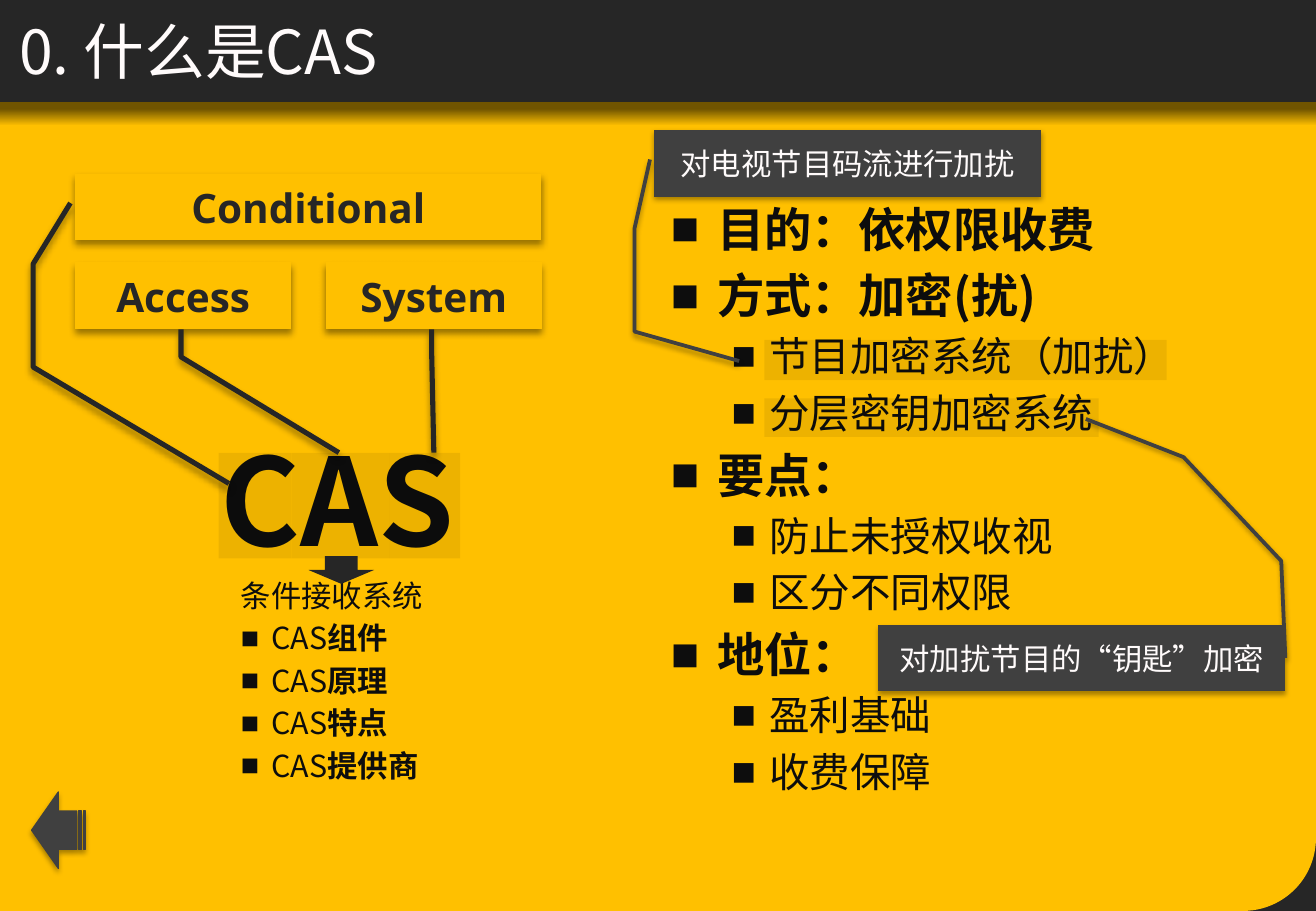
from lxml import etree
from pptx import Presentation
from pptx.dml.color import RGBColor
from pptx.enum.shapes import MSO_SHAPE
from pptx.enum.text import MSO_ANCHOR, MSO_AUTO_SIZE, PP_ALIGN
from pptx.oxml.ns import qn
from pptx.util import Cm, Pt

RECTANGLE = MSO_SHAPE.RECTANGLE
ROUNDED_CORNER = MSO_SHAPE.ROUND_1_RECTANGLE
CALLOUT = MSO_SHAPE.LINE_CALLOUT_3_NO_BORDER
DOWN_ARROW = MSO_SHAPE.DOWN_ARROW
STRIPED_ARROW = MSO_SHAPE.STRIPED_RIGHT_ARROW
MIDDLE = MSO_ANCHOR.MIDDLE
LEFT = PP_ALIGN.LEFT
CENTER = PP_ALIGN.CENTER
NO_AUTOFIT = MSO_AUTO_SIZE.NONE

DARK = RGBColor(0x26, 0x26, 0x26)
GREY = RGBColor(0x40, 0x40, 0x40)
AMBER = RGBColor(0xFF, 0xC0, 0x00)
SHADE = RGBColor(0x70, 0x54, 0x00)
WHITE = RGBColor(0xFF, 0xFB, 0xFB)
INK = RGBColor(0x0D, 0x0D, 0x0D)
BLACK = RGBColor(0x00, 0x00, 0x00)

CJK = "Noto Sans CJK SC"
SOFT_SHADOW = (35, 3.1, 1.8)
WORD_SHADOW = (40, 4, 3)

PURPOSE_LIST = [
    (0, "目的：依权限收费"),
    (0, "方式：加密(扰)"),
    (1, "节目加密系统（加扰）"),
    (1, "分层密钥加密系统"),
    (0, "要点："),
    (1, "防止未授权收视"),
    (1, "区分不同权限"),
    (0, "地位："),
    (1, "盈利基础"),
    (1, "收费保障"),
]
PURPOSE_LEVELS = [(28, True, 0.97, 0.97), (24, False, 2.06, 0.79)]
CAS_TOPICS = ["组件", "原理", "特点", "提供商"]

NOTES = [
    ("对电视节目码流进行加扰", (13.67, 2.72, 8.1, 1.4),
     (0.44, -0.01, 1.47, -0.05, 3.01, -0.05, 3.45, 0.22)),
    ("对加扰节目的“钥匙”加密", (18.36, 13.06, 8.51, 1.4),
     (0.5, 1, -0.95, 0.99, -2.5, 0.75, -3.07, 0.51)),
]
WORDS = [
    ("Conditional", (1.57, 3.63, 9.75, 1.4),
     (0.44, -0.01, 1.35, -0.09, 2.89, -0.09, 4.63, 0.33)),
    ("Access", (1.57, 5.49, 4.52, 1.4),
     (1, 0.49, 1.29, 0.49, 1.41, 0.49, 2.84, 1.22)),
    ("System", (6.81, 5.49, 4.52, 1.4),
     (1, 0.49, 1.29, 0.49, 1.34, 0.49, 2.84, 0.5)),
]
HIGHLIGHTS = [
    (15.98, 7.11, 8.41, 0.84),
    (15.98, 8.33, 6.99, 0.81),
    (4.57, 9.47, 1.53, 2.21),
    (6.1, 9.47, 2.05, 2.21),
    (8.15, 9.47, 1.47, 2.21),
]


def set_font(paragraph, size, color, name=CJK, bold=None):
    font = paragraph.font
    font.size, font.bold, font.name = Pt(size), bold, name
    font.color.rgb = color
    etree.SubElement(font._rPr, qn("a:ea"), typeface=CJK)


def set_bullet(paragraph, margin, hanging, char=None):
    properties = paragraph._p.get_or_add_pPr()
    properties.set("marL", str(Cm(margin)))
    properties.set("indent", str(-Cm(hanging)))
    if char:
        etree.SubElement(properties, qn("a:buChar"), char=char)
    else:
        etree.SubElement(properties, qn("a:buNone"))


def add_figure(slide, kind, box, fill, line=None, line_width=0, shadow=None):
    figure = slide.shapes.add_shape(kind, *map(Cm, box))
    figure.shadow.inherit = False
    figure.fill.solid()
    figure.fill.fore_color.rgb = fill
    if line is None:
        figure.line.fill.background()
    else:
        figure.line.color.rgb = line
        figure.line.width = Pt(line_width)
    if shadow:
        alpha, blur, distance = shadow
        effects = figure._element.spPr.find(qn("a:effectLst"))
        outer = etree.SubElement(
            effects, qn("a:outerShdw"), blurRad=str(Pt(blur)),
            dist=str(Pt(distance)), dir="5400000", rotWithShape="0")
        tone = etree.SubElement(outer, qn("a:srgbClr"), val=str(BLACK))
        etree.SubElement(tone, qn("a:alpha"), val=str(alpha * 1000))
    return figure


def add_callout(slide, text, box, leader, fill, line, width, shadow, font):
    callout = add_figure(slide, CALLOUT, box, fill, line, width, shadow)
    for index, value in enumerate(leader):
        callout.adjustments[index] = value
    frame = callout.text_frame
    frame.vertical_anchor = MIDDLE
    paragraph = frame.paragraphs[0]
    paragraph.text = text
    paragraph.alignment = CENTER
    set_font(paragraph, *font)


def add_highlight(slide, box):
    highlight = add_figure(slide, RECTANGLE, box, BLACK)
    tone = highlight._element.spPr.find(qn("a:solidFill"))[0]
    etree.SubElement(tone, qn("a:alpha"), val="7000")


def place_placeholder(slide, index, box):
    holder = slide.placeholders[index]
    holder.left, holder.top, holder.width, holder.height = map(Cm, box)
    slide.shapes._spTree.append(holder._element)
    frame = holder.text_frame
    frame.auto_size = NO_AUTOFIT
    return frame


def next_paragraph(frame, size, level=0):
    first = frame.paragraphs[0]
    paragraph = frame.add_paragraph() if first.runs else first
    paragraph.level = level
    paragraph.space_before = Pt(0 if paragraph is first else size * 0.2)
    return paragraph


def add_backdrop(slide):
    add_figure(slide, RECTANGLE, (-0.05, 2.13, 27.56, 16.92), DARK)
    panel = add_figure(slide, ROUNDED_CORNER, (0, 2.13, 27.51, 16.92), AMBER)
    panel.adjustments[0] = 0.09
    panel._element.spPr.xfrm.set("flipV", "1")
    header_shade = add_figure(slide, RECTANGLE, (0, 2.13, 27.51, 0.5), AMBER)
    header_shade.fill.gradient()
    header_shade.fill.gradient_angle = 270
    stops = header_shade.fill.gradient_stops
    for stop, color, position in zip(stops, (SHADE, AMBER), (0.3, 1)):
        stop.color.rgb = color
        stop.position = position
    add_figure(slide, RECTANGLE, (0, 0, 27.56, 2.13), DARK)


def add_title(slide):
    frame = place_placeholder(slide, 0, (0.15, -0.23, 24.77, 2.57))
    frame.vertical_anchor = MIDDLE
    title = frame.paragraphs[0]
    title.text = "0. 什么是CAS"
    title.alignment = LEFT
    set_font(title, 36, WHITE)


def add_cas_list(slide):
    frame = place_placeholder(slide, 1, (0.97, 8.76, 12.17, 9.3))
    acronym = next_paragraph(frame, 72)
    acronym.text = "CAS"
    acronym.alignment = CENTER
    set_bullet(acronym, 0, 0)
    set_font(acronym, 72, INK, bold=True)
    meaning = next_paragraph(frame, 18, 3)
    meaning.text = "条件接收系统"
    set_bullet(meaning, 3.81, 0)
    set_font(meaning, 18, INK, bold=False)
    for topic in CAS_TOPICS:
        entry = next_paragraph(frame, 18, 3)
        entry.add_run().text = "CAS"
        emphasis = entry.add_run()
        emphasis.text = topic
        emphasis.font.bold = True
        set_bullet(entry, 4.45, 0.64, "■")
        set_font(entry, 18, INK)


def add_purpose_list(slide):
    frame = place_placeholder(slide, 2, (13.77, 4.06, 12.17, 12.57))
    for level, text in PURPOSE_LIST:
        size, bold, margin, hanging = PURPOSE_LEVELS[level]
        entry = next_paragraph(frame, size, level)
        entry.text = text
        set_bullet(entry, margin, hanging, "■")
        set_font(entry, size, INK, bold=bold)


def main():
    deck = Presentation()
    deck.slide_width, deck.slide_height = Cm(27.51), Cm(19.05)
    slide = deck.slides.add_slide(deck.slide_layouts[3])
    add_backdrop(slide)
    add_title(slide)
    add_cas_list(slide)
    add_purpose_list(slide)
    for box in HIGHLIGHTS:
        add_highlight(slide, box)
    for note in NOTES:
        add_callout(slide, *note, GREY, GREY, 2.25, SOFT_SHADOW, (18, WHITE, "Karla"))
    for word in WORDS:
        add_callout(slide, *word, AMBER, DARK, 3, WORD_SHADOW,
                    (24, DARK, "Open Sans", True))
    add_figure(slide, DOWN_ARROW, (6.45, 11.63, 1.37, 0.58), DARK)
    back_arrow = add_figure(slide, STRIPED_ARROW, (0.66, 16.56, 1.12, 1.6),
                            GREY, GREY, 0.75, SOFT_SHADOW)
    back_arrow.rotation = 180
    deck.save("out.pptx")


if __name__ == "__main__":
    main()
